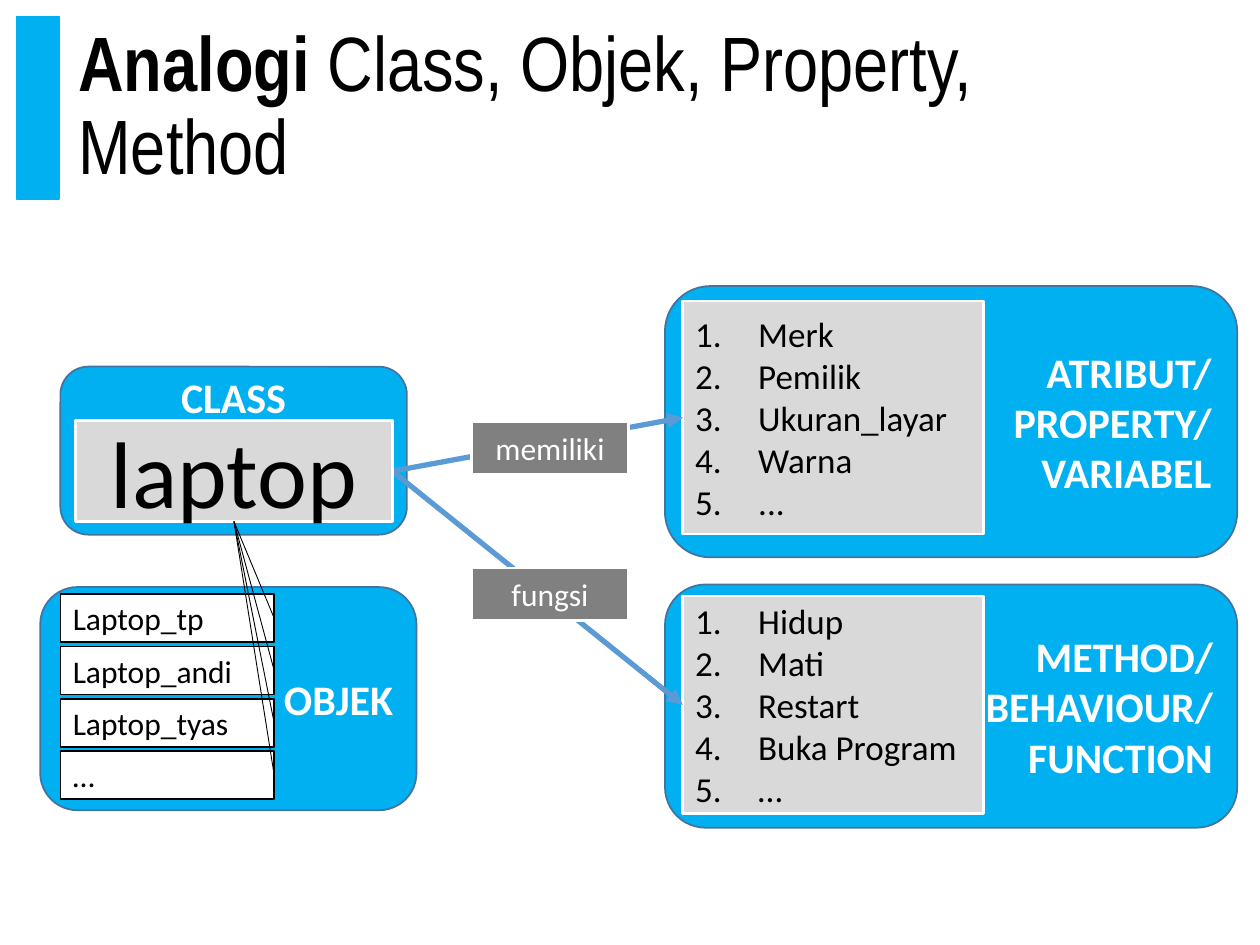
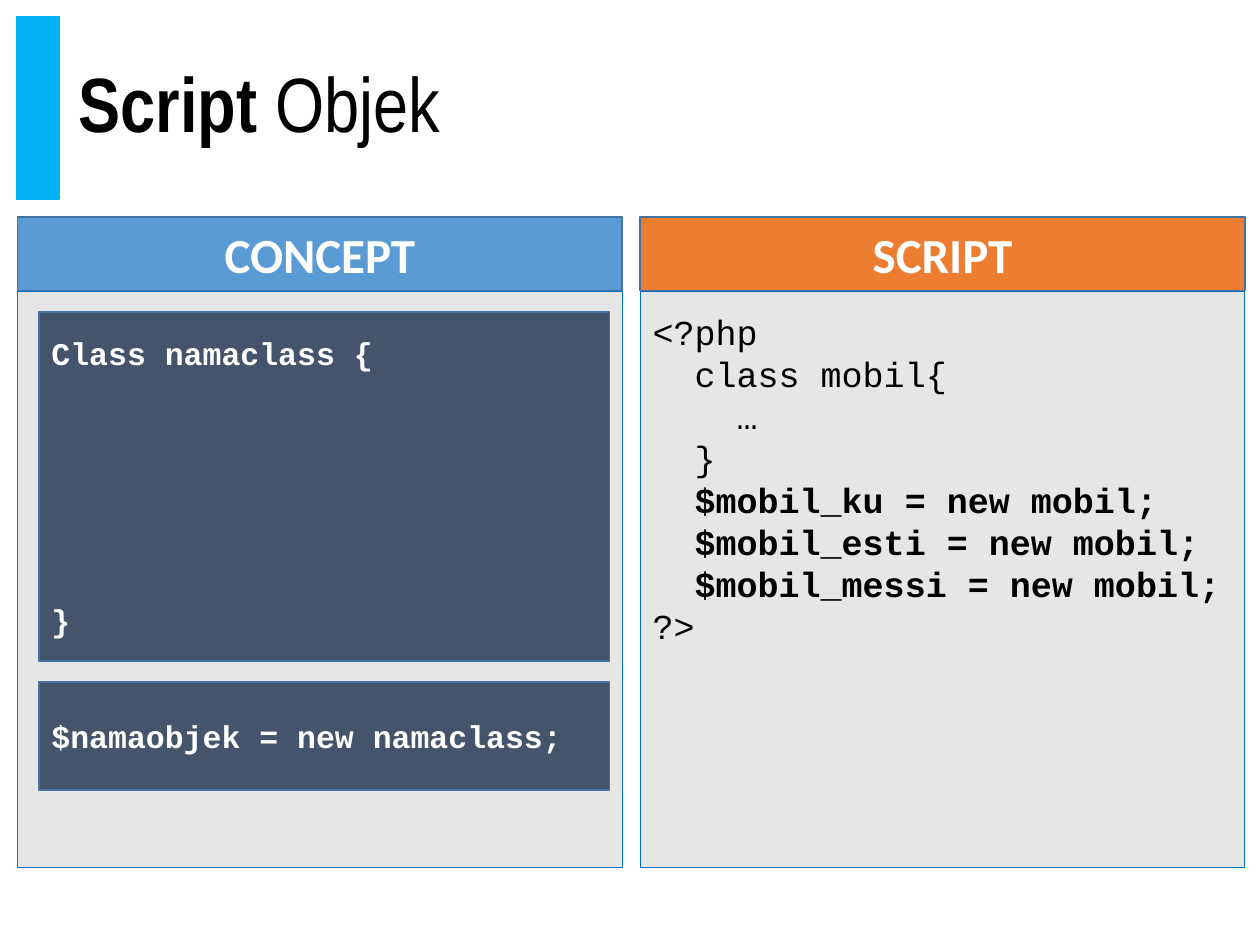
from dataclasses import dataclass, replace

from lxml.etree import SubElement
from pptx import Presentation
from pptx.dml.color import RGBColor
from pptx.enum.shapes import MSO_CONNECTOR, MSO_SHAPE
from pptx.enum.text import MSO_ANCHOR, MSO_AUTO_SIZE, PP_ALIGN
from pptx.oxml.ns import qn
from pptx.util import Pt

BLACK, WHITE = "000000", "FFFFFF"
CYAN, BLUE, ORANGE = "00B0F0", "5B9BD5", "ED7D31"
EDGE, SLATE, GREY = "43739E", "44546A", "D9D9D9"
CODE_FONT = "Courier New"


@dataclass(frozen=True)
class Style:
    fill: str
    edge: str
    edge_width: float
    size: float
    color: str = BLACK
    bold: bool = False
    font: str = "Calibri"
    align: PP_ALIGN = PP_ALIGN.LEFT
    shape: MSO_SHAPE = MSO_SHAPE.RECTANGLE
    numbered: bool = False


@dataclass(frozen=True)
class Box:
    x: float
    y: float
    w: float
    h: float

    @property
    def left(self) -> tuple[float, float]:
        return self.x, self.y + self.h / 2

    @property
    def right(self) -> tuple[float, float]:
        return self.x + self.w, self.y + self.h / 2

    @property
    def bottom(self) -> tuple[float, float]:
        return self.x + self.w / 2, self.y + self.h


GROUP = Style(CYAN, EDGE, 1, 24, WHITE, True, align=PP_ALIGN.RIGHT,
              shape=MSO_SHAPE.ROUNDED_RECTANGLE)
CLASS_GROUP = replace(GROUP, align=PP_ALIGN.CENTER)
MEMBERS = Style(GREY, WHITE, 1.5, 20, numbered=True)
CLASS_NAME = Style(GREY, WHITE, 1.5, 54, align=PP_ALIGN.CENTER)
RELATION = Style("808080", WHITE, 1.5, 18, WHITE, align=PP_ALIGN.CENTER)
INSTANCE = Style(WHITE, BLACK, 1, 18)
ACCENT = Style(CYAN, CYAN, 1, 18)
HEADER = Style(BLUE, EDGE, 1, 28, WHITE, True, align=PP_ALIGN.CENTER)
BODY = Style("E7E6E6", "0070C0", 0.5, 20, font=CODE_FONT)
SNIPPET = Style(SLATE, EDGE, 1, 18, WHITE, True, CODE_FONT)


def rgb(value: str) -> RGBColor:
    return RGBColor.from_string(value)


def set_all(target, values: dict) -> None:
    for name, value in values.items():
        setattr(target, name, value)


def add_run(p, text: str, style: Style, bold: bool) -> None:
    r = p.add_run()
    r.text = text
    set_all(r.font, {"name": style.font, "size": Pt(style.size), "bold": bold})
    r.font.color.rgb = rgb(style.color)


def number(p) -> None:
    pPr = p._p.get_or_add_pPr()
    set_all_attrs = {"marL": str(Pt(36)), "indent": str(-Pt(36))}
    for name, value in set_all_attrs.items():
        pPr.set(name, value)
    SubElement(pPr, qn("a:buFont"), typeface="+mj-lt")
    SubElement(pPr, qn("a:buAutoNum"), type="arabicPeriod")


def add_box(s, box: Box, style: Style, lines: tuple[str, ...] = (),
            bold_prefix: str | None = None, **frame):
    """Draw a text shape; lines starting with bold_prefix are bold."""
    sp = s.shapes.add_shape(style.shape, Pt(box.x), Pt(box.y), Pt(box.w), Pt(box.h))
    sp.shadow.inherit = False
    sp.fill.solid()
    sp.fill.fore_color.rgb = rgb(style.fill)
    sp.line.color.rgb = rgb(style.edge)
    sp.line.width = Pt(style.edge_width)
    tf = sp.text_frame
    set_all(tf, {"word_wrap": True, "vertical_anchor": MSO_ANCHOR.MIDDLE, **frame})
    for i, line in enumerate(lines):
        p = tf.add_paragraph() if i else tf.paragraphs[0]
        p.alignment = style.align
        if style.numbered:
            number(p)
        marked = bold_prefix is not None and line.strip().startswith(bold_prefix)
        add_run(p, line, style, style.bold or marked)
    return sp


def add_line(s, start: tuple[float, float], end: tuple[float, float],
             color: str, width: float, arrow: bool = False) -> None:
    c = s.shapes.add_connector(MSO_CONNECTOR.STRAIGHT, *map(Pt, start + end))
    c.line.color.rgb = rgb(color)
    c.line.width = Pt(width)
    if arrow:
        SubElement(c.line._get_or_add_ln(), qn("a:tailEnd"), type="triangle")
    SubElement(c._element.spPr, qn("a:effectLst"))


def add_slide(prs, strong: str, rest: str):
    """Add a slide with the accent bar and a title that starts in bold."""
    s = prs.slides.add_slide(prs.slide_layouts[5])
    add_box(s, Box(9.4, 9.4, 24.5, 104.4), ACCENT)
    title = s.shapes.title
    set_all(title, {"left": Pt(37.6), "top": Pt(9.4),
                    "width": Pt(655), "height": Pt(104.4)})
    tf = title.text_frame
    set_all(tf, {"word_wrap": True, "auto_size": MSO_AUTO_SIZE.NONE,
                 "vertical_anchor": MSO_ANCHOR.MIDDLE, "margin_right": Pt(14)})
    p = tf.paragraphs[0]
    set_all(p, {"alignment": PP_ALIGN.LEFT, "line_spacing": 0.9})
    style = Style(WHITE, WHITE, 0, 44, font="Arial Narrow")
    add_run(p, strong, style, True)
    add_run(p, rest, style, False)
    return s


def analogy_slide(prs) -> None:
    s = add_slide(prs, "Analogi ", "Class, Objek, Property, Method")
    add_box(s, Box(23, 335.5, 215, 127.5), GROUP, ("OBJEK",))
    add_box(s, Box(380, 334, 327, 139), GROUP, ("METHOD/", "BEHAVIOUR/", "FUNCTION"))
    add_box(s, Box(380, 163.5, 327, 155), GROUP, ("ATRIBUT/", "PROPERTY/", "VARIABEL"))
    add_box(s, Box(34.5, 209.5, 198, 96), CLASS_GROUP, ("CLASS",),
            margin_top=0, margin_bottom=Pt(62))

    laptop = Box(43.2, 240.5, 181, 57.5)
    properties = Box(390.2, 172, 172, 133.2)
    methods = Box(390.2, 340.5, 172, 124.5)
    members = (
        (properties, ("Merk", "Pemilik", "Ukuran_layar", "Warna", "...")),
        (methods, ("Hidup", "Mati", "Restart", "Buka Program", "…")),
    )
    for box, names in members:
        add_box(s, box, MEMBERS, names)
        add_line(s, laptop.right, box.left, BLUE, 3, arrow=True)
    for y, relation in ((240.7, "memiliki"), (324.5, "fungsi")):
        add_box(s, Box(269.3, y, 90, 30.2), RELATION, (relation,))
    add_box(s, laptop, CLASS_NAME, ("laptop",))

    names = ("Laptop_tp", "Laptop_andi", "Laptop_tyas", "…")
    instances = [Box(34.5, 339.6 + 29.9 * i, 122.2, 27.4) for i in range(len(names))]
    for box, name in zip(instances, names):
        add_box(s, box, INSTANCE, (name,))
    for box in instances:
        add_line(s, laptop.bottom, box.right, BLACK, 0.5)


def script_slide(prs) -> None:
    s = add_slide(prs, "Script ", "Objek")
    code = ("<?php", "  class mobil{", "    …", "  }", "  $mobil_ku = new mobil;",
            "  $mobil_esti = new mobil;", "  $mobil_messi = new mobil;", "?>")
    columns = ((10, "CONCEPT", BLUE, ()), (365.8, "SCRIPT", ORANGE, code))
    for x, heading, color, lines in columns:
        body = add_box(s, Box(x, 166.3, 345.6, 329.5), BODY, lines, "$",
                       vertical_anchor=MSO_ANCHOR.TOP, margin_top=Pt(11))
        for p in body.text_frame.paragraphs:
            p.line_spacing = Pt(24)
        add_box(s, Box(x, 124, 345.6, 42), replace(HEADER, fill=color), (heading,))

    add_box(s, Box(22.3, 389.7, 326, 61.7), SNIPPET, ("$namaobjek = new namaclass;",))
    declaration = add_box(s, Box(22.3, 178.3, 326, 199.5), SNIPPET,
                          ("Class namaclass {", "}"))
    declaration.text_frame.paragraphs[-1].space_before = Pt(131)


def main() -> None:
    prs = Presentation()
    prs.slide_width, prs.slide_height = Pt(720), Pt(540)
    analogy_slide(prs)
    script_slide(prs)
    prs.save("out.pptx")


if __name__ == "__main__":
    main()
